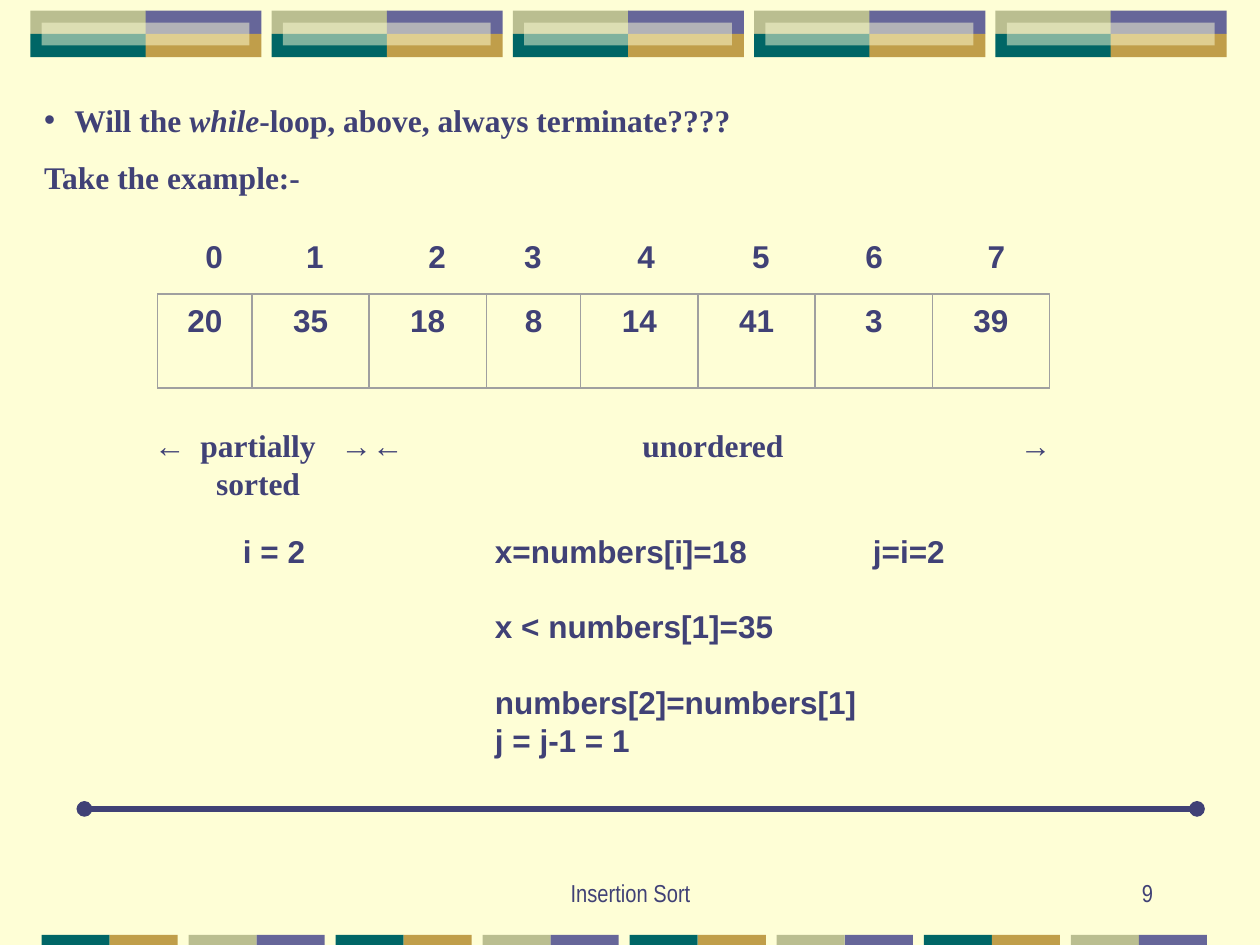
from dataclasses import dataclass, field

import pptx
import pptx.dml.color
import pptx.enum.shapes
import pptx.enum.text
import pptx.oxml.ns
import pptx.util
from lxml import etree

Inches, Pt = pptx.util.Inches, pptx.util.Pt
ALIGN = pptx.enum.text.PP_ALIGN
ANCHOR = pptx.enum.text.MSO_ANCHOR
RECT = pptx.enum.shapes.MSO_SHAPE.RECTANGLE
qn = pptx.oxml.ns.qn

COLORS = {"cream": "FEFED6", "ink": "404176", "violet": "666699", "gold": "C09E4A",
          "teal": "006666", "sage": "BABE90", "grid": "A0A0A0"}
SANS = {"name": "Arial", "size": Pt(18), "bold": True}
SERIF = {**SANS, "name": "Times New Roman"}
ITALIC = {**SERIF, "italic": True}
FOOTER = {"name": "Arial Narrow", "size": Pt(14)}


@dataclass
class Para:
    runs: list[tuple[str, dict]]
    align: ALIGN = ALIGN.LEFT
    before: float = 0
    indent: float = 0
    bullet: str = ""
    tabs: list[float] = field(default_factory=list)
    tab_kind: str = "l"


def rgb(name: str) -> pptx.dml.color.RGBColor:
    return pptx.dml.color.RGBColor.from_string(COLORS[name])


def add_para(p, para: Para) -> None:
    """Format one paragraph: spacing, then tab stops or indent and bullet, then its runs."""
    p.alignment = para.align
    p.space_before = Pt(para.before)
    pr = p._p.get_or_add_pPr()
    if para.tabs:  # an explicit indent would reset the tab stops
        stops = etree.SubElement(pr, qn("a:tabLst"))
        for pos in para.tabs:
            etree.SubElement(stops, qn("a:tab"), pos=str(Inches(pos)), algn=para.tab_kind)
    else:
        pr.set("marL", str(Inches(para.indent)))
        pr.set("indent", str(Inches(-para.indent if para.bullet else 0)))
        if para.bullet:
            etree.SubElement(pr, qn("a:buChar"), char=para.bullet)
        else:
            etree.SubElement(pr, qn("a:buNone"))
    for text, fmt in para.runs:
        r = p.add_run()
        r.text = text
        r.font.color.rgb = rgb("ink")
        for key, value in fmt.items():
            setattr(r.font, key, value)


def fill_text(sp, paras: list[Para], anchor: ANCHOR = ANCHOR.TOP) -> None:
    tf = sp.text_frame
    tf.word_wrap = True
    tf.auto_size = pptx.enum.text.MSO_AUTO_SIZE.NONE
    tf.vertical_anchor = anchor
    for i, para in enumerate(paras):
        add_para(tf.add_paragraph() if i else tf.paragraphs[0], para)


def add_text(s, x: float, y: float, w: float, h: float, paras: list[Para],
             anchor: ANCHOR = ANCHOR.TOP) -> None:
    fill_text(s.shapes.add_textbox(Inches(x), Inches(y), Inches(w), Inches(h)), paras, anchor)


def add_rect(s, x: float, y: float, w: float, h: float, fill: str = "",
             line: float | None = None, alpha: int = 100):
    sp = s.shapes.add_shape(RECT, Inches(x), Inches(y), Inches(w), Inches(h))
    sp.shadow.inherit = False
    if fill:
        sp.fill.solid()
        sp.fill.fore_color.rgb = rgb(fill)
        if alpha < 100:
            clr = sp.fill._xPr.find(qn("a:solidFill"))[0]
            etree.SubElement(clr, qn("a:alpha"), val=str(alpha * 1000))
    else:
        sp.fill.background()
    if line is None:
        sp.line.fill.background()
    else:
        sp.line.color.rgb = rgb("grid")
        sp.line.width = Pt(line)
    return sp


def draw_bands(s) -> None:
    # Top: five four-colour blocks, each with a pale inset
    for n in range(5):
        x = 0.24 + n * 1.915
        for i, color in enumerate(["sage", "violet", "teal", "gold"]):
            add_rect(s, x + i % 2 * 0.915, 0.085 + i // 2 * 0.185, 0.92, 0.185, color)
        add_rect(s, x + 0.09, 0.18, 1.65, 0.18, "cream", alpha=50)
    # Bottom: eight two-colour strips in alternating pairs
    for n in range(8):
        pair = ("sage", "violet") if n % 2 else ("teal", "gold")
        for i, color in enumerate(pair):
            add_rect(s, 0.33 + n * 1.167 + i * 0.54, 7.42, 0.54, 0.08, color)


def draw_array(s) -> None:
    x = 1.25
    for value, w in zip([20, 35, 18, 8, 14, 41, 3, 39],
                        [0.75, 0.93, 0.93, 0.75, 0.93, 0.93, 0.93, 0.93]):
        cell = add_rect(s, x, 2.34, w, 0.74, line=0)
        fill_text(cell, [Para([(str(value), SANS)], ALIGN.CENTER)])
        x += w
    add_rect(s, 1.25, 2.33, 7.08, 0.75, line=0.75)


def draw_rule(s) -> None:
    rule = s.shapes.add_connector(pptx.enum.shapes.MSO_CONNECTOR.STRAIGHT,
                                  Inches(0.67), Inches(6.42), Inches(9.5), Inches(6.42))
    rule.line.color.rgb = rgb("ink")
    rule.line.width = Pt(3)
    ln = rule.line._get_or_add_ln()
    for end in ("a:headEnd", "a:tailEnd"):
        etree.SubElement(ln, qn(end), type="oval")
    etree.SubElement(rule._element.spPr, qn("a:effectLst"))


def main() -> None:
    prs = pptx.Presentation()
    prs.slide_width, prs.slide_height = Inches(10), Inches(7.5)
    s = prs.slides.add_slide(prs.slide_layouts[1])
    s.background.fill.solid()
    s.background.fill.fore_color.rgb = rgb("cream")
    title = s.shapes.title._element
    title.getparent().remove(title)

    draw_bands(s)

    # Question
    body = s.placeholders[1]
    body.left, body.top, body.width, body.height = map(Inches, (0.25, 0.75, 9.5, 0.86))
    fill_text(body, [
        Para([("Will the ", SERIF), ("while", ITALIC),
              ("-loop, above, always terminate????", SERIF)], indent=0.24, bullet="•"),
        Para([("Take the example:-", SERIF)], before=11.2),
    ])

    # Array with its indexes above and its ranges below
    add_text(s, 1.33, 1.83, 7.58, 0.4, [
        Para([("".join(f"\t{i}" for i in range(8)), SANS)], tab_kind="ctr",
             tabs=[0.27, 1.07, 2.04, 2.8, 3.7, 4.61, 5.51, 6.48])])
    draw_array(s)
    add_text(s, 1, 3.33, 7.92, 0.7, [
        Para([("\t←", SANS), ("\tpartially", SERIF), ("\t→\t←", SANS),
              ("\tunordered", SERIF), ("\t→", SANS)], tab_kind="ctr",
             tabs=[0.25, 0.95, 1.73, 1.98, 4.56, 7.12]),
        Para([("\tsorted", SERIF)], tab_kind="ctr", tabs=[0.95]),
    ])

    # Loop steps
    add_text(s, 0.83, 4.17, 7.92, 2.2, [
        Para([("\ti = 2\tx=numbers[i]=18\tj=i=2", SANS)], tabs=[1, 3, 6]),
        Para([("x < numbers[1]=35", SANS)], before=21.6, indent=3),
        Para([("numbers[2]=numbers[1]", SANS)], before=21.6, indent=3),
        Para([("j = j-1 = 1", SANS)], indent=3),
    ])
    draw_rule(s)

    # Footer
    add_text(s, 3.42, 6.75, 3.17, 0.5,
             [Para([("Insertion Sort", FOOTER)], ALIGN.CENTER)], ANCHOR.BOTTOM)
    add_text(s, 7.17, 6.75, 2.08, 0.5, [Para([("9", FOOTER)], ALIGN.RIGHT)], ANCHOR.BOTTOM)

    prs.save("out.pptx")


if __name__ == "__main__":
    main()
